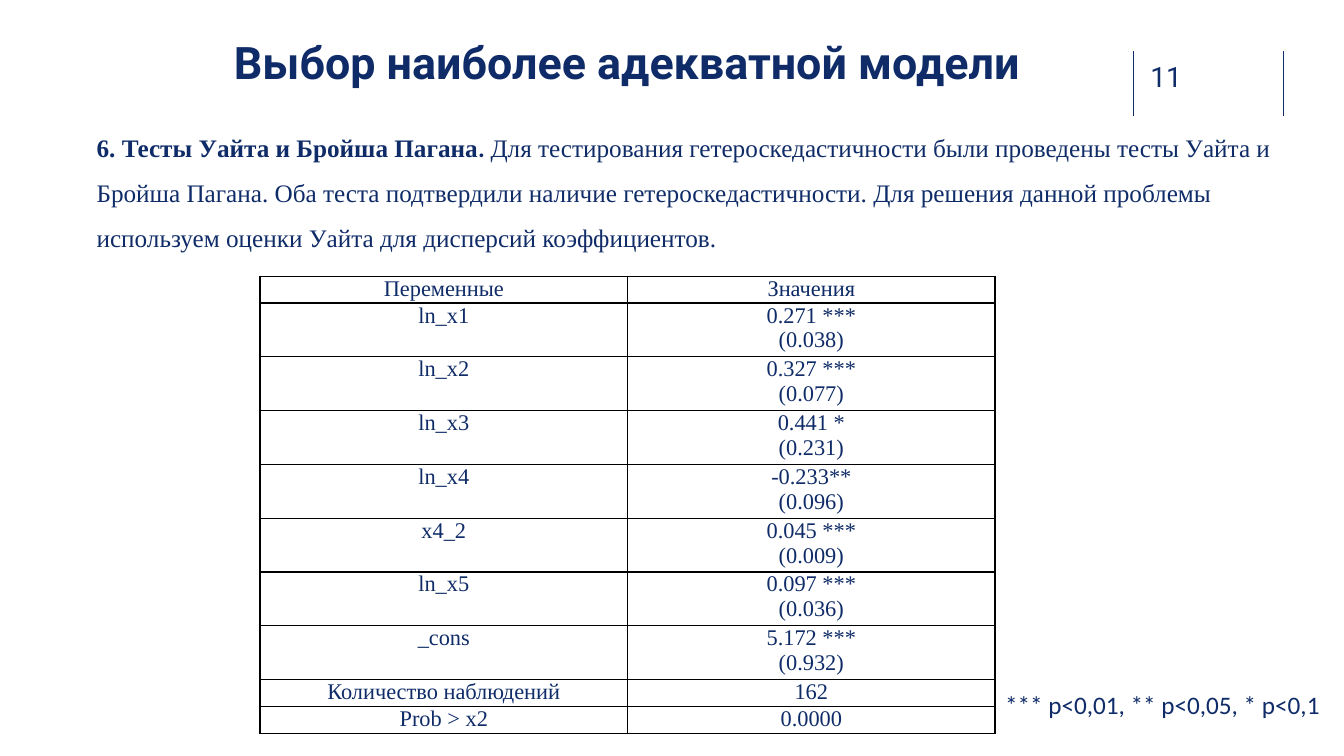
from lxml.etree import SubElement
from pptx import Presentation
from pptx.dml.color import RGBColor
from pptx.enum.shapes import MSO_CONNECTOR, MSO_SHAPE
from pptx.enum.text import MSO_ANCHOR, MSO_AUTO_SIZE, PP_ALIGN
from pptx.oxml import parse_xml
from pptx.oxml.ns import nsdecls, qn
from pptx.util import Inches, Pt

NAVY = RGBColor(0x0F, 0x2C, 0x68)
RULE = RGBColor(0x10, 0x2D, 0x69)
WHITE = RGBColor(0xFF, 0xFF, 0xFF)
SERIF = "Times New Roman"
WIDE = Inches(13.33)
TALL = Inches(7.5)

TITLE = "Выбор наиболее адекватной модели"
BODY = [
    ("6. Тесты Уайта и Бройша Пагана", SERIF, True),
    (". ", "Calibri", True),
    ("Для тестирования гетероскедастичности были проведены тесты Уайта и "
     "Бройша Пагана. Оба теста подтвердили наличие гетероскедастичности. "
     "Для решения данной проблемы используем оценки Уайта для дисперсий "
     "коэффициентов.", SERIF, False),
]
ROWS = [
    ("Переменные", "Значения"),
    ("ln_x1", "0.271 ***\n(0.038)"),
    ("ln_x2", "0.327 ***\n(0.077)"),
    ("ln_x3", "0.441 *\n(0.231)"),
    ("ln_x4", "-0.233**\n(0.096)"),
    ("x4_2", "0.045 ***\n(0.009)"),
    ("ln_x5", "0.097 ***\n(0.036)"),
    ("_cons", "5.172 ***\n(0.932)"),
    ("Количество наблюдений", "162"),
    ("Prob > x2", "0.0000"),
]
NOTE = "*** p<0,01, ** p<0,05, * p<0,1"


def across(share):
    return int(WIDE * share / 100)


def down(share):
    return int(TALL * share / 100)


def place(left, top, width, height):
    return across(left), down(top), across(width), down(height)


def style(run, font, size, color=NAVY, bold=False):
    run.font.name = font
    run.font.size = Pt(size)
    run.font.color.rgb = color
    run.font.bold = bold


def center(frame, font, size, bold=False):
    for line in frame.paragraphs:
        line.alignment = PP_ALIGN.CENTER
        for run in line.runs:
            style(run, font, size, bold=bold)


def add_rule(slide, left):
    rule = slide.shapes.add_connector(
        MSO_CONNECTOR.STRAIGHT, across(left), down(6.8), across(left), down(15.33))
    rule.line.color.rgb = RULE
    rule.line.width = Pt(1)
    SubElement(rule.element.spPr, qn("a:effectLst"))


def add_text(slide, area, parts, size, color=NAVY):
    frame = slide.shapes.add_textbox(*place(*area)).text_frame
    frame.word_wrap = True
    frame.auto_size = MSO_AUTO_SIZE.SHAPE_TO_FIT_TEXT
    line = frame.paragraphs[0]
    for text, font, bold in parts:
        run = line.add_run()
        run.text = text
        style(run, font, size, color, bold)
    return line


def add_title(slide):
    shape = slide.shapes.add_shape(
        MSO_SHAPE.RECTANGLE, *place(15.23, 4.53, 62.87, 11.33))
    shape.shadow.inherit = False
    shape.fill.solid()
    shape.fill.fore_color.rgb = WHITE
    shape.line.fill.background()
    frame = shape.text_frame
    frame.margin_left = frame.margin_right = 0
    frame.margin_top = frame.margin_bottom = 0
    frame.vertical_anchor = MSO_ANCHOR.TOP
    frame.word_wrap = True
    frame.text = TITLE
    center(frame, "Roboto", 32, True)


def add_body(slide):
    line = add_text(slide, (2.7, 14.8, 92.87, 18.93), BODY, 18)
    line.line_spacing = 1.5
    line.space_after = Pt(8)
    props = line._p.get_or_add_pPr()
    props.set("marL", str(Inches(0.5)))
    props.set("indent", "0")


def frame_cell(cell):
    props = cell._tc.get_or_add_tcPr()
    for spot, side in enumerate(("lnL", "lnR", "lnT", "lnB")):
        props.insert(spot, parse_xml(
            f'<a:{side} {nsdecls("a")} w="{Pt(1)}"><a:solidFill>'
            f'<a:srgbClr val="000000"/></a:solidFill></a:{side}>'))


def fill_cell(cell, text):
    cell.margin_left = cell.margin_right = Inches(0.07)
    cell.margin_top = cell.margin_bottom = 0
    cell.fill.background()
    cell.text_frame.text = text
    center(cell.text_frame, SERIF, 16)
    frame_cell(cell)


def add_grid(slide):
    table = slide.shapes.add_table(
        len(ROWS), 2, *place(19.35, 36.53, 54.69, 54.25)).table
    table.first_row = table.horz_banding = False
    for row, texts in zip(table.rows, ROWS):
        row.height = down(6.67 if "\n" in texts[1] else 2.53)
        for cell, text in zip(row.cells, texts):
            fill_cell(cell, text)


def main():
    deck = Presentation()
    deck.slide_width, deck.slide_height = WIDE, TALL
    slide = deck.slides.add_slide(deck.slide_layouts[6])
    for left in (84.32, 95.5):
        add_rule(slide, left)
    add_text(slide, (84.85, 7.2, 5.48, 5.87), [("11", "Roboto", False)], 20, RULE)
    add_body(slide)
    add_title(slide)
    add_grid(slide)
    add_text(slide, (74.04, 90.53, 25.96, 5.33), [(NOTE, "Calibri", False)], 18)
    deck.save("out.pptx")


if __name__ == "__main__":
    main()
